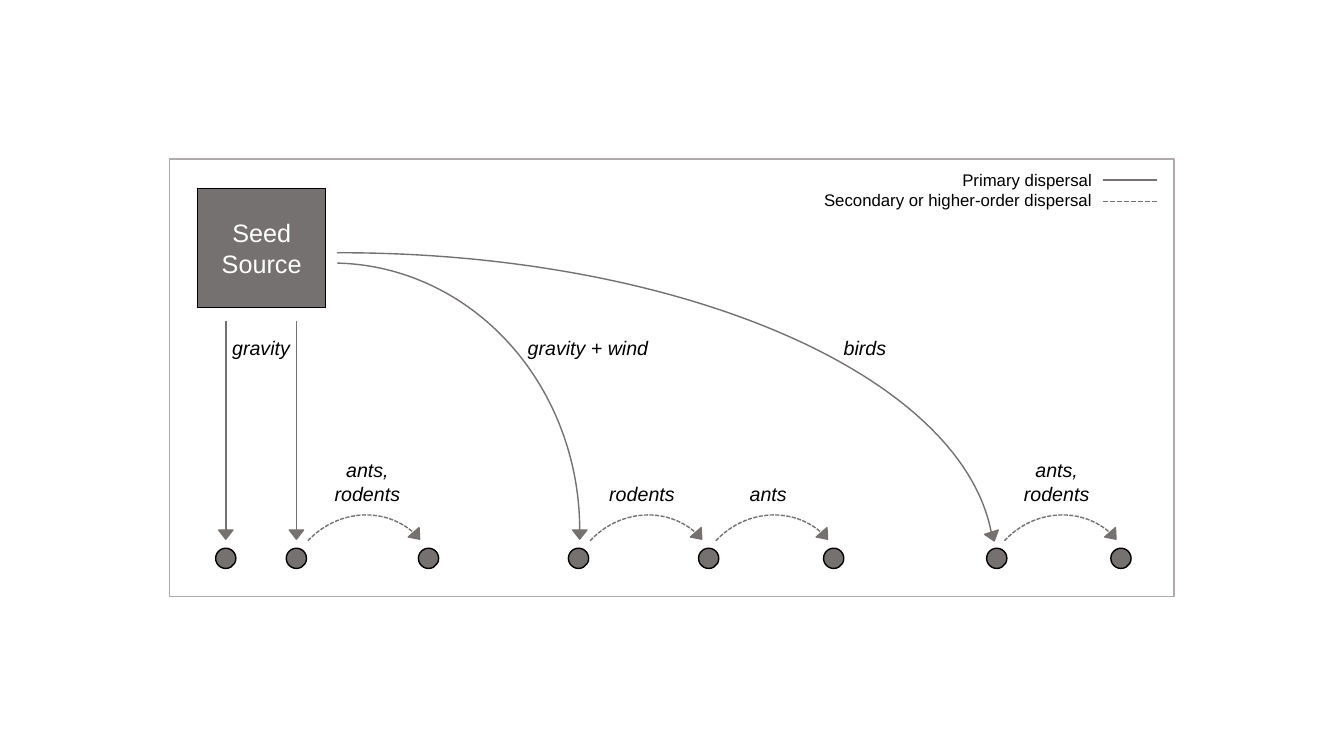
from dataclasses import dataclass

from lxml import etree
from pptx import Presentation
from pptx import util as u
from pptx.dml.color import RGBColor
from pptx.enum import dml, shapes, text
from pptx.oxml import ns

SHAPE = shapes.MSO_SHAPE
ALIGN = text.PP_ALIGN


@dataclass(frozen=True)
class Theme:
    """Colours, font and sizes of the diagram."""
    grey: str = "767171"
    frame: str = "AFABAB"
    black: str = "000000"
    white: str = "FFFFFF"
    font: str = "Arial"
    source_pt: float = 18
    label_pt: float = 14
    legend_pt: float = 12
    outline_pt: float = 1
    straight_pt: float = 1.25


T = Theme()
PANEL = (4.27, 4.01, 25.32, 11.02)
DOT_Y, DOT_SIZE = 10.06, 0.51
DOTS = (1.42, 3.2, 6.53, 10.31, 13.59, 16.74, 20.85, 23.98)
HOPS = (
    (2.9, "ants, rodents", 4.99, 3.02, 1.45),
    (10.01, "rodents", 11.91, 3.4, 0.86),
    (13.18, "ants", 15.09, 3.4, 0.86),
    (20.45, "ants, rodents", 22.36, 3.02, 1.45),
)


def style_line(line, color, width, dashed=False):
    """Set the colour, width and dash of a line."""
    line.color.rgb = RGBColor.from_string(color)
    line.width = u.Pt(width)
    if dashed:
        line.dash_style = dml.MSO_LINE.SQUARE_DOT


def add_shape(s, kind, x, y, w, h, fill=None, line=T.black, rotation=0, dashed=False):
    """Add an outlined preset shape without shadow."""
    sp = s.shapes.add_shape(kind, u.Cm(x), u.Cm(y), u.Cm(w), u.Cm(h))
    sp.shadow.inherit = False
    sp.rotation = rotation
    if fill:
        sp.fill.solid()
        sp.fill.fore_color.rgb = RGBColor.from_string(fill)
    else:
        sp.fill.background()
    style_line(sp.line, line, T.outline_pt, dashed)
    return sp


def add_arc(s, x, y, w, h, start, end=0, **fmt):
    """Add a grey arc between two angle adjustments."""
    sp = add_shape(s, SHAPE.ARC, x, y, w, h, line=T.grey, **fmt)
    sp.adjustments[0], sp.adjustments[1] = start, end


def add_head(s, cx, cy, rotation=180):
    """Add a triangular arrowhead around a centre."""
    w, h = 0.36, 0.23
    add_shape(s, SHAPE.ISOSCELES_TRIANGLE, cx - w / 2, cy - h / 2, w, h,
              fill=T.grey, line=T.grey, rotation=rotation)


def add_line(s, x1, y1, x2, y2, dashed=False):
    """Add a straight grey connector without shadow."""
    c = s.shapes.add_connector(shapes.MSO_CONNECTOR.STRAIGHT,
                               u.Cm(x1), u.Cm(y1), u.Cm(x2), u.Cm(y2))
    style_line(c.line, T.grey, T.straight_pt, dashed)
    etree.SubElement(c._element.spPr, ns.qn("a:effectLst"))


def write(tf, content, size=T.label_pt, color=T.black, italic=False, align=ALIGN.CENTER):
    """Fill a text frame with one paragraph per line of content."""
    tf.word_wrap = True
    for i, words in enumerate(content.split("\n")):
        p = tf.add_paragraph() if i else tf.paragraphs[0]
        p.alignment = align
        r = p.add_run()
        r.text = words
        r.font.name, r.font.size, r.font.italic = T.font, u.Pt(size), italic
        r.font.color.rgb = RGBColor.from_string(color)


def add_text(s, x, y, w, h, content, **fmt):
    """Add a text box that grows with its text."""
    tf = s.shapes.add_textbox(u.Cm(x), u.Cm(y), u.Cm(w), u.Cm(h)).text_frame
    write(tf, content, **fmt)
    tf.auto_size = text.MSO_AUTO_SIZE.SHAPE_TO_FIT_TEXT


def draw_source(s, x, y, w, h):
    """Draw the panel frame and the seed source box."""
    add_shape(s, SHAPE.RECTANGLE, x, y, w, h, line=T.frame)
    sp = add_shape(s, SHAPE.RECTANGLE, x + 0.71, y + 0.74, 3.23, 3, fill=T.grey)
    sp.text_frame.vertical_anchor = text.MSO_ANCHOR.MIDDLE
    write(sp.text_frame, "Seed\nSource", size=T.source_pt, color=T.white)


def draw_seeds(s, x, y):
    """Draw the row of seeds on the ground."""
    for cx in DOTS:
        add_shape(s, SHAPE.OVAL, x + cx - DOT_SIZE / 2, y + DOT_Y - DOT_SIZE / 2,
                  DOT_SIZE, DOT_SIZE, fill=T.grey)


def draw_primary(s, x, y):
    """Draw the solid dispersal paths with their labels."""
    add_arc(s, x - 2.13, y + 2.62, 12.47, 13.46, 162.66)
    add_arc(s, x - 12.14, y + 2.36, 32.92, 15.49, 161.56, 214.96)
    for cx in DOTS[:2]:
        add_line(s, x + cx, y + 4.09, x + cx, y + 9.58)
        add_head(s, x + cx, y + 9.46)
    add_head(s, x + 10.34, y + 9.46)
    add_head(s, x + 20.75, y + 9.51, rotation=162.4)
    for words, cx, w in (("gravity", 2.31, 3.4), ("gravity + wind", 10.55, 3.94),
                         ("birds", 17.53, 3.4)):
        add_text(s, x + cx - w / 2, y + 4.32, w, 0.86, words, italic=True)


def draw_secondary(s, x, y):
    """Draw the dashed hops between seeds with their labels."""
    for left, words, cx, w, h in HOPS:
        add_arc(s, x + left, y + 9.02, 3.89, 3.66, 159.45, rotation=316.6, dashed=True)
        add_head(s, x + left + 3.33, y + 9.49, rotation=139)
        add_text(s, x + cx - w / 2, y + 8.86 - h, w, h, words, italic=True)


def draw_legend(s, x, y):
    """Draw the key to the two line styles."""
    add_text(s, x, y, 7.37, 1.27, "Primary dispersal\nSecondary or higher-order dispersal",
             size=T.legend_pt, align=ALIGN.RIGHT)
    for dy, dashed in ((0.38, False), (0.92, True)):
        add_line(s, x + 7.39, y + dy, x + 8.76, y + dy, dashed)


def main():
    """Build and save the slide."""
    prs = Presentation()
    prs.slide_width, prs.slide_height = u.Cm(33.87), u.Cm(19.05)
    s = prs.slides.add_slide(prs.slide_layouts[6])
    x, y, w, h = PANEL
    draw_source(s, x, y, w, h)
    draw_seeds(s, x, y)
    draw_primary(s, x, y)
    draw_secondary(s, x, y)
    draw_legend(s, x + 16.13, y + 0.15)
    prs.save("out.pptx")


if __name__ == "__main__":
    main()
